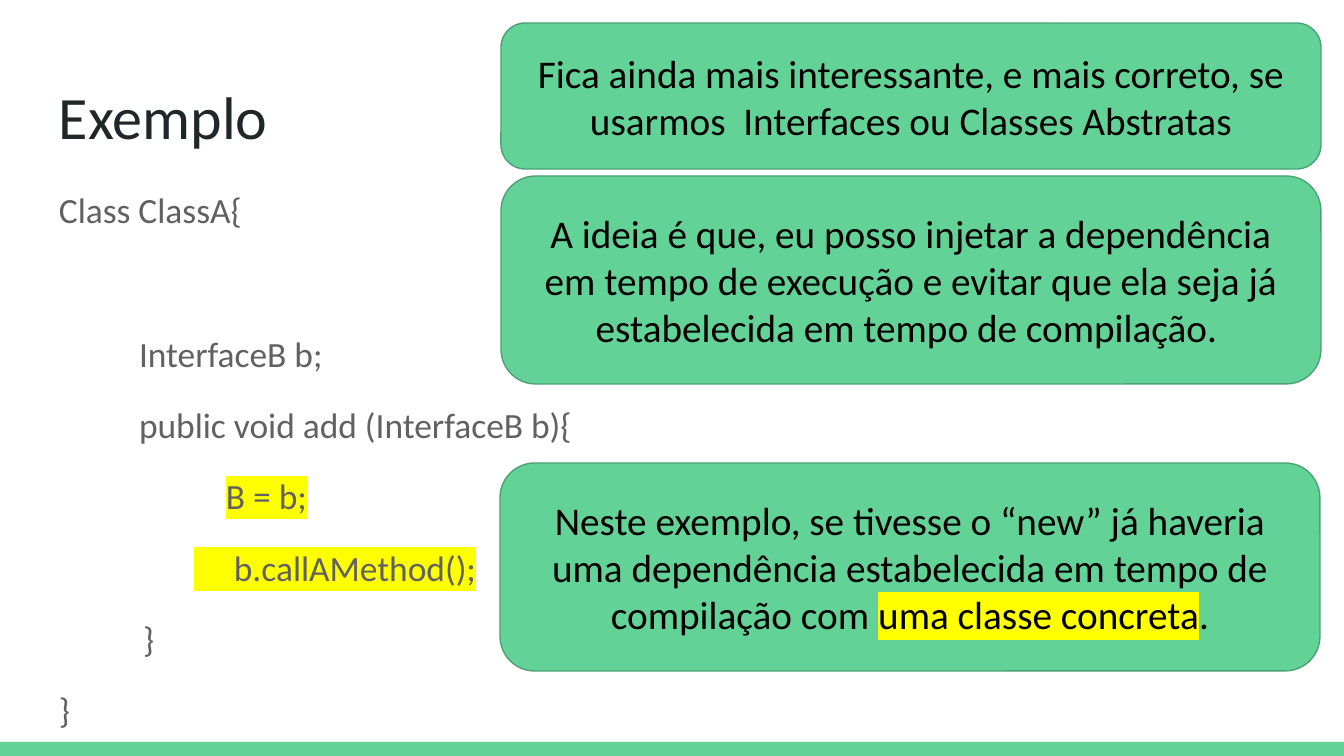
from dataclasses import dataclass

import lxml.etree
import pptx
import pptx.dml.color
import pptx.enum.shapes
import pptx.enum.text
import pptx.oxml.ns
import pptx.util

EMU_PER_PX = 914400 / 134.4
SLIDE_WIDTH, SLIDE_HEIGHT = 1344, 756


@dataclass(frozen=True)
class Theme:
    font: str = "Calibri"
    green: str = "63D297"
    outline: str = "4BA173"
    heading: str = "202729"
    code: str = "616161"
    note: str = "000000"
    marker: str = "FFFF00"
    heading_size: float = 32.2
    code_size: float = 19
    note_size: float = 21
    outline_width: float = 0.75
    code_spacing: float = 1.15
    code_gap: float = 12
    skipped_line: float = 38.7


THEME = Theme()


def px(length):
    return pptx.util.Emu(round(length * EMU_PER_PX))


def rgb(value):
    return pptx.dml.color.RGBColor.from_string(value)


def place(part, box):
    part.left, part.top, part.width, part.height = map(px, box)


def set_frame(frame, anchor):
    frame.word_wrap = True
    frame.auto_size = pptx.enum.text.MSO_AUTO_SIZE.NONE
    frame.vertical_anchor = anchor
    frame.margin_left = frame.margin_right = px(13)
    frame.margin_top = frame.margin_bottom = px(13)


def add_run(paragraph, text, size, color, marked=False):
    run = paragraph.add_run()
    run.text = text
    run.font.size = pptx.util.Pt(size)
    run.font.name = THEME.font
    run.font.color.rgb = rgb(color)
    if marked:
        qn = pptx.oxml.ns.qn
        highlight = lxml.etree.Element(qn("a:highlight"))
        lxml.etree.SubElement(highlight, qn("a:srgbClr"), val=THEME.marker)
        run.font._element.find(qn("a:solidFill")).addnext(highlight)


def indent(paragraph, left):
    properties = paragraph._p.get_or_add_pPr()
    properties.set("marL", str(px(left)))
    properties.set("indent", "0")
    lxml.etree.SubElement(properties, pptx.oxml.ns.qn("a:buNone"))


def fill_heading(heading, box, text):
    place(heading, box)
    set_frame(heading.text_frame, pptx.enum.text.MSO_ANCHOR.TOP)
    paragraph = heading.text_frame.paragraphs[0]
    paragraph.alignment = pptx.enum.text.PP_ALIGN.LEFT
    add_run(paragraph, text, THEME.heading_size, THEME.heading)


def fill_code(listing, box, lines):
    place(listing, box)
    frame = listing.text_frame
    set_frame(frame, pptx.enum.text.MSO_ANCHOR.TOP)
    for number, (left, gap, text, marked) in enumerate(lines):
        paragraph = frame.add_paragraph() if number else frame.paragraphs[0]
        paragraph.alignment = pptx.enum.text.PP_ALIGN.LEFT
        paragraph.line_spacing = THEME.code_spacing
        paragraph.space_before = pptx.util.Pt(gap)
        paragraph.space_after = pptx.util.Pt(0)
        indent(paragraph, left)
        add_run(paragraph, text, THEME.code_size, THEME.code, marked)


def add_panel(slide, preset, box):
    panel = slide.shapes.add_shape(preset, *map(px, box))
    panel.shadow.inherit = False
    panel.fill.solid()
    panel.fill.fore_color.rgb = rgb(THEME.green)
    return panel


def add_footer_band(slide, box):
    band = add_panel(slide, pptx.enum.shapes.MSO_SHAPE.RECTANGLE, box)
    band.line.fill.background()


def add_note(slide, box, pieces):
    note = add_panel(slide, pptx.enum.shapes.MSO_SHAPE.ROUNDED_RECTANGLE, box)
    note.line.color.rgb = rgb(THEME.outline)
    note.line.width = pptx.util.Pt(THEME.outline_width)
    set_frame(note.text_frame, pptx.enum.text.MSO_ANCHOR.MIDDLE)
    paragraph = note.text_frame.paragraphs[0]
    paragraph.alignment = pptx.enum.text.PP_ALIGN.CENTER
    for text, marked in pieces:
        add_run(paragraph, text, THEME.note_size, THEME.note, marked)


def build_example(deck):
    slide = deck.slides.add_slide(deck.slide_layouts[1])
    add_footer_band(slide, (0, 742, SLIDE_WIDTH, 14))
    fill_heading(slide.shapes.title, (46, 66, 1253, 84), "Exemplo")

    gap = THEME.code_gap
    fill_code(slide.placeholders[1], (46, 169, 808, 503), [
        (0, 0, "Class ClassA{", False),
        (80, gap + THEME.skipped_line, "InterfaceB b;", False),
        (80, gap, "public void add (InterfaceB b){", False),
        (167, gap, "B = b;", True),
        (135, gap, "     b.callAMethod();", True),
        (84, gap, "}", False),
        (0, gap, "}", False),
    ])

    add_note(slide, (501, 23, 820, 146), [
        ("Fica ainda mais interessante, e mais correto, se usarmos  "
         "Interfaces ou Classes Abstratas", False),
    ])
    add_note(slide, (501, 176, 820, 208), [
        ("A ideia é que, eu posso injetar a dependência em tempo de execução "
         "e evitar que ela seja já estabelecida em tempo de compilação. ", False),
    ])
    add_note(slide, (500, 463, 820, 208), [
        ("Neste exemplo, se tivesse o “new” já haveria uma dependência "
         "estabelecida em tempo de compilação com ", False),
        ("uma classe concreta", True),
        (".", False),
    ])


def main():
    deck = pptx.Presentation()
    deck.slide_width, deck.slide_height = px(SLIDE_WIDTH), px(SLIDE_HEIGHT)
    build_example(deck)
    deck.save("out.pptx")


if __name__ == "__main__":
    main()
